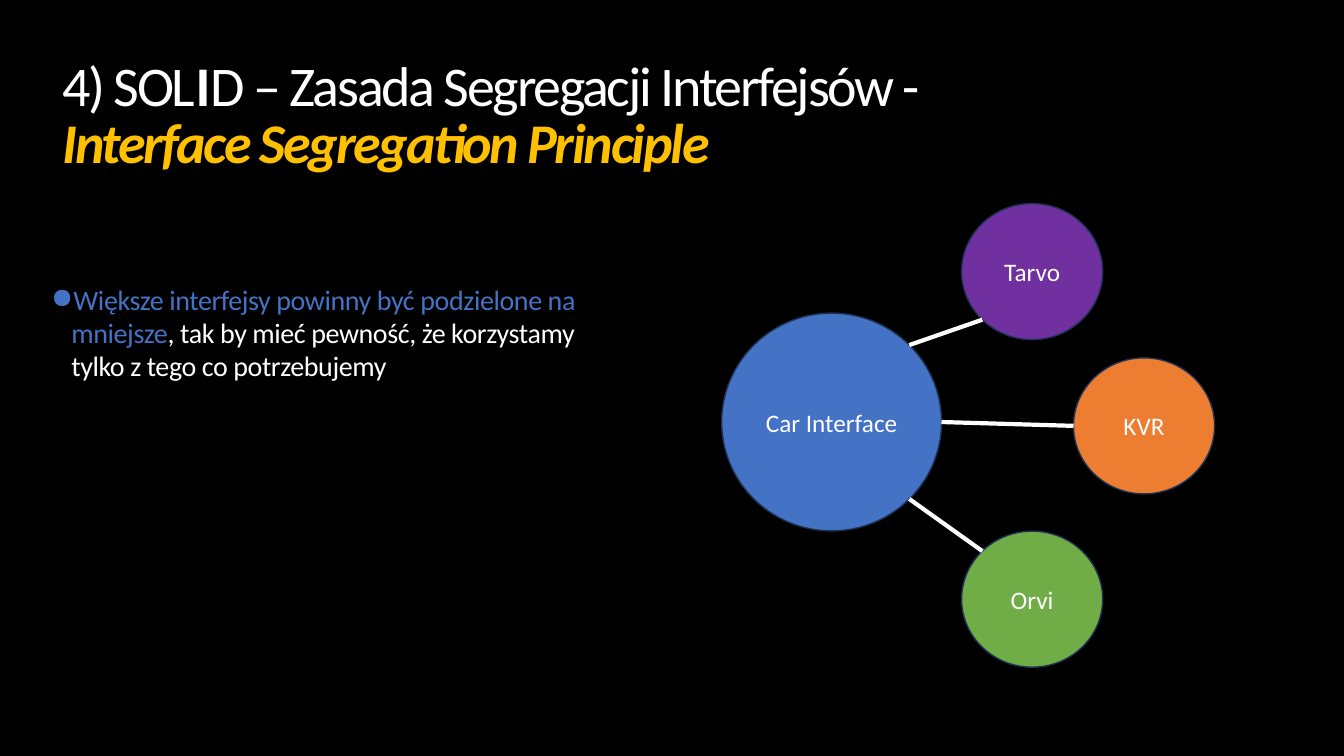
import math

import pptx
import pptx.dml.color
import pptx.enum.shapes
import pptx.enum.text
import pptx.oxml
import pptx.oxml.ns
import pptx.util

Pt = pptx.util.Pt
ANCHOR = pptx.enum.text.MSO_ANCHOR
ALIGN = pptx.enum.text.PP_ALIGN
WHITE, BLACK, BLUE, GOLD, NAVY = "FFFFFF", "000000", "4472C4", "FFC000", "1E3256"


def rgb(value):
    return pptx.dml.color.RGBColor.from_string(value)


def add_run(p, text, size, color=WHITE, bold=False, italic=False, spacing=0):
    """Append a run; spacing is the letter spacing in points."""
    r = p.add_run()
    r.text = text
    r.font.name = "Calibri"
    r.font.size = Pt(size)
    r.font.bold, r.font.italic = bold, italic
    r.font.color.rgb = rgb(color)
    if spacing:
        r._r.get_or_add_rPr().set("spc", str(round(spacing * 100)))


def rim_point(sp, degrees):
    """Point on an ellipse, clockwise from its right side."""
    a = math.radians(degrees)
    return (round(sp.left + sp.width / 2 * (1 + math.cos(a))),
            round(sp.top + sp.height / 2 * (1 + math.sin(a))))


class Deck:
    """Holds the presentation, its style and the current slide."""

    def __init__(self):
        self.prs = pptx.Presentation()
        self.prs.slide_width, self.prs.slide_height = Pt(960), Pt(540)
        self.s = self.prs.slides.add_slide(self.prs.slide_layouts[5])
        fill = self.s.background.fill
        fill.solid()
        fill.fore_color.rgb = rgb(BLACK)

    def frame(self, sp, anchor, left=7.2, top=3.6):
        tf = sp.text_frame
        tf.word_wrap = True
        tf.auto_size = pptx.enum.text.MSO_AUTO_SIZE.NONE
        tf.vertical_anchor = anchor
        tf.margin_left, tf.margin_top = Pt(left), Pt(top)
        tf.margin_right, tf.margin_bottom = Pt(7.2), Pt(3.6)
        return tf.paragraphs[0]

    def title(self, x, y, w, h, runs):
        sp = self.s.shapes.title
        sp.left, sp.top, sp.width, sp.height = Pt(x), Pt(y), Pt(w), Pt(h)
        p = self.frame(sp, ANCHOR.TOP, top=6)
        p.alignment = ALIGN.LEFT
        p.line_spacing = 0.85
        for text, style in runs:
            add_run(p, text, 40, spacing=-1.6, **style)

    def bullet(self, x, y, w, h, top, runs):
        sp = self.s.shapes.add_textbox(Pt(x), Pt(y), Pt(w), Pt(h))
        p = self.frame(sp, ANCHOR.TOP, left=10, top=top)
        p.line_spacing = 0.98
        pPr = p._p.get_or_add_pPr()
        pPr.set("marL", str(Pt(14.4)))
        pPr.set("indent", str(Pt(-14.4)))
        pPr.append(pptx.oxml.parse_xml(
            f'<a:buChar {pptx.oxml.ns.nsdecls("a")} char="●"/>'))
        for text, color in runs:
            add_run(p, text, 20, color=color, spacing=-0.3)

    def circle(self, x, y, w, h, text, color):
        sp = self.s.shapes.add_shape(
            pptx.enum.shapes.MSO_SHAPE.OVAL, Pt(x), Pt(y), Pt(w), Pt(h))
        sp.shadow.inherit = False
        sp.fill.solid()
        sp.fill.fore_color.rgb = rgb(color)
        sp.line.color.rgb = rgb(NAVY)
        sp.line.width = Pt(1)
        p = self.frame(sp, ANCHOR.MIDDLE)
        p.alignment = ALIGN.CENTER
        add_run(p, text, 18)
        return sp

    def link(self, start, end):
        cxn = self.s.shapes.add_connector(
            pptx.enum.shapes.MSO_CONNECTOR.STRAIGHT, *start, *end)
        cxn.line.color.rgb = rgb(WHITE)
        cxn.line.width = Pt(3)
        cxn._element.spPr.append(pptx.oxml.parse_xml(
            f'<a:effectLst {pptx.oxml.ns.nsdecls("a")}/>'))


def main():
    deck = Deck()
    deck.title(37.4, 37.4, 714.2, 74.2, [
        ("4) SOL", {}),
        ("I", {"bold": True}),
        ("D – Zasada Segregacji Interfejsów - ", {}),
        ("Interface Segregation Principle",
         {"color": GOLD, "bold": True, "italic": True}),
    ])
    deck.bullet(26.6, 122.4, 430.6, 345.6, 80.4, [
        ("Większe interfejsy powinny być podzielone na mniejsze", BLUE),
        (", tak by mieć pewność, że korzystamy tylko z tego co potrzebujemy", WHITE),
    ])
    interface = deck.circle(515.5, 223.7, 157, 155.5, "Car Interface", BLUE)
    cars = [  # name, colour, left, top, angle on the interface, angle on the car
        ("Tarvo", "7030A0", 686.9, 145.4, -45, 135),
        ("KVR", "ED7D31", 766.8, 255.6, 0, 180),
        ("Orvi", "70AD47", 686.9, 379.4, 45, -135),
    ]
    ends = []
    for name, color, x, y, leave, arrive in cars:
        car = deck.circle(x, y, 100.8, 97.2, name, color)
        ends.append((rim_point(interface, leave), rim_point(car, arrive)))
    for start, end in ends:
        deck.link(start, end)
    deck.prs.save("out.pptx")


if __name__ == "__main__":
    main()
